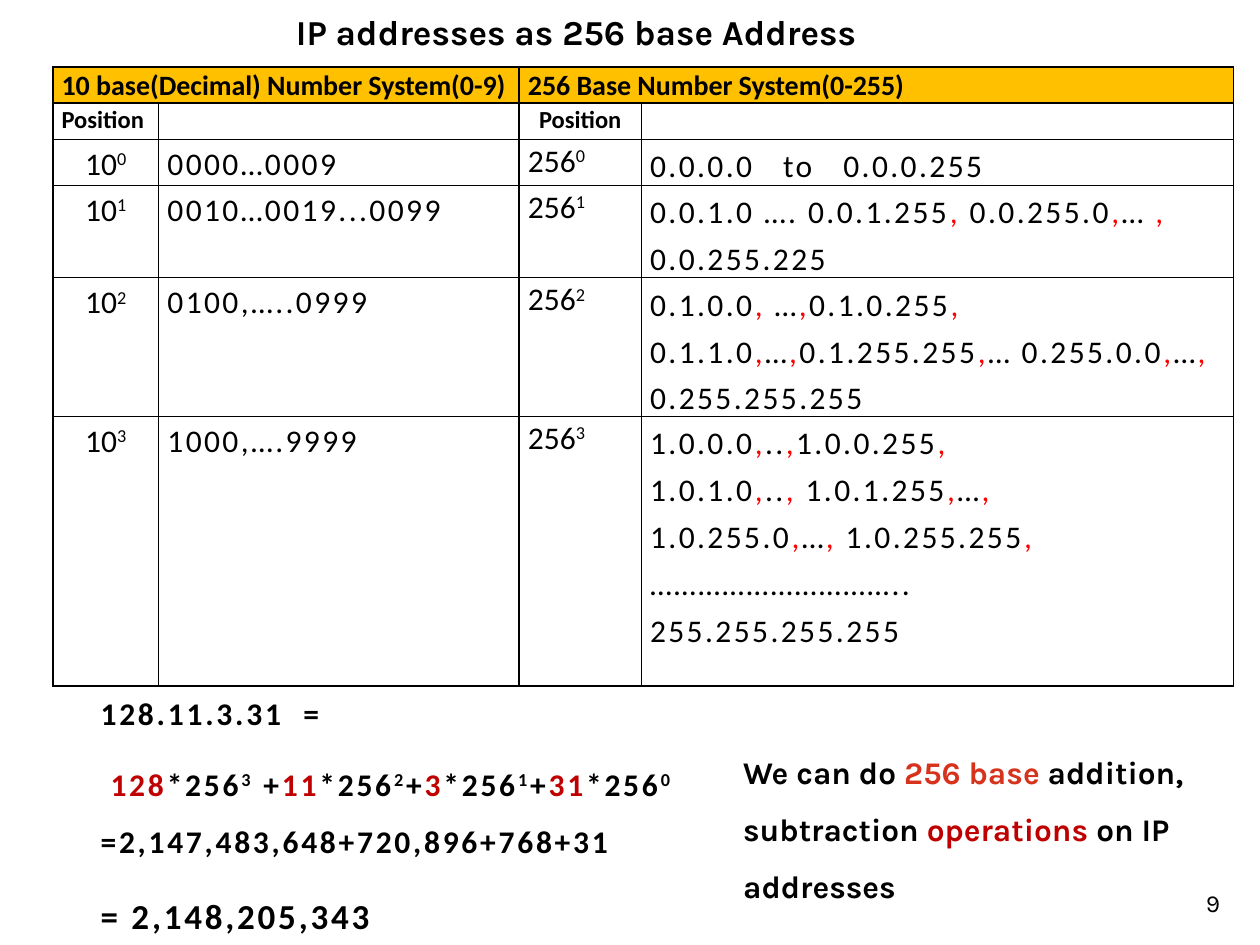
from lxml.etree import SubElement
from pptx import Presentation
from pptx.dml.color import RGBColor
from pptx.enum.text import MSO_ANCHOR, MSO_AUTO_SIZE, PP_ALIGN
from pptx.oxml.ns import qn
from pptx.util import Pt

BLACK, RED, DARK_RED, ORANGE_RED, AMBER = "000000", "FF0000", "C00000", "D6321C", "FFC000"
COLUMN_WIDTHS = [60.5, 206, 69.8, 338.4]
ROW_HEIGHTS = [20.2, 20.9, 25.2, 51.8, 79.2, 154.1]
DECIMAL_RANGES = ["0000…0009", "0010…0019...0099", "0100,…..0999", "1000,….9999"]
ADDRESS_RANGES = [
    ["0.0.0.0   to   0.0.0.255"],
    ["0.0.1.0 …. 0.0.1.255, 0.0.255.0,… , 0.0.255.225"],
    ["0.1.0.0, …,0.1.0.255, 0.1.1.0,…,0.1.255.255,… 0.255.0.0,…, 0.255.255.255"],
    ["1.0.0.0,..,1.0.0.255,", "1.0.1.0,.., 1.0.1.255,…,", "1.0.255.0,…, 1.0.255.255,",
     "…………………………..", "255.255.255.255"],
]


def rgb(value):
    return RGBColor.from_string(value)


def colored(text, color=BLACK):
    return (text, color, False)


def power(base, exponent):
    return [colored(base), (str(exponent), BLACK, True)]


def red_commas(text):
    pieces = []
    for index, part in enumerate(text.split(",")):
        if index:
            pieces.append(colored(",", RED))
        if part:
            pieces.append(colored(part))
    return pieces


def write_line(paragraph, pieces, size, font="Calibri", bold=False, spacing=1.0,
               after=0, tracking=0, align=PP_ALIGN.LEFT):
    paragraph.alignment = align
    paragraph.line_spacing = spacing
    paragraph.space_after = Pt(after)
    paragraph.font.name = font
    paragraph.font.size = Pt(size)
    paragraph.font.bold = bold
    for text, color, raised in pieces:
        run = paragraph.add_run()
        run.text = text
        run.font.color.rgb = rgb(color)
        properties = run.font._element
        if tracking:
            properties.set("spc", str(round(tracking * 100)))
        if raised:
            properties.set("baseline", "30000")
    if not pieces:
        SubElement(paragraph._p, qn("a:endParaRPr"), sz=str(size * 100))


def write_lines(frame, lines, **style):
    for index, pieces in enumerate(lines):
        paragraph = frame.add_paragraph() if index else frame.paragraphs[0]
        write_line(paragraph, pieces, **style)


def add_text_frame(slide, left, top, width, height, wrap=True):
    frame = slide.shapes.add_textbox(Pt(left), Pt(top), Pt(width), Pt(height)).text_frame
    frame.word_wrap = wrap
    return frame


def add_borders(cell):
    properties = cell._tc.get_or_add_tcPr()
    for index, side in enumerate(("a:lnL", "a:lnR", "a:lnT", "a:lnB")):
        border = properties.makeelement(qn(side), {"w": str(Pt(1))})
        fill = SubElement(border, qn("a:solidFill"))
        SubElement(fill, qn("a:srgbClr"), val=BLACK)
        properties.insert(index, border)


def fill_cell(cell, lines, color=None, **style):
    cell.margin_left = cell.margin_right = Pt(5)
    cell.margin_top = cell.margin_bottom = 0
    if color:
        cell.fill.solid()
        cell.fill.fore_color.rgb = rgb(color)
    else:
        cell.fill.background()
    add_borders(cell)
    write_lines(cell.text_frame, lines, **style)


def add_number_systems(slide, left, top, width, height):
    table = slide.shapes.add_table(len(ROW_HEIGHTS), len(COLUMN_WIDTHS),
                                   Pt(left), Pt(top), Pt(width), Pt(height)).table
    table.first_row = table.horz_banding = False
    for column, column_width in zip(table.columns, COLUMN_WIDTHS):
        column.width = Pt(column_width)
    for row, row_height in zip(table.rows, ROW_HEIGHTS):
        row.height = Pt(row_height)

    systems = ["10 base(Decimal) Number System(0-9)", "256 Base Number System(0-255)"]
    for column, system in zip((0, 2), systems):
        table.cell(0, column).merge(table.cell(0, column + 1))
        fill_cell(table.cell(0, column), [[colored(system)]], AMBER,
                  size=16, bold=True, spacing=1.07)
        fill_cell(table.cell(0, column + 1), [[]], AMBER, size=16)
        fill_cell(table.cell(1, column), [[colored("Position")]], size=14, bold=True,
                  spacing=1.07, align=PP_ALIGN.CENTER if column else PP_ALIGN.LEFT)
        fill_cell(table.cell(1, column + 1), [[]], size=14)

    for exponent, (decimals, addresses) in enumerate(zip(DECIMAL_RANGES, ADDRESS_RANGES)):
        row = exponent + 2
        fill_cell(table.cell(row, 0), [power("10", exponent)], size=18,
                  spacing=1.15, align=PP_ALIGN.CENTER)
        fill_cell(table.cell(row, 1), [[colored(decimals)]], size=18,
                  spacing=1.15, tracking=1.4)
        fill_cell(table.cell(row, 2), [power("256", exponent)], size=18, spacing=1.07)
        fill_cell(table.cell(row, 3), [red_commas(line) for line in addresses],
                  size=18, spacing=1.22, tracking=1.4)


def add_title(slide, left, top, width, height):
    frame = add_text_frame(slide, left, top, width, height, wrap=False)
    frame.auto_size = MSO_AUTO_SIZE.SHAPE_TO_FIT_TEXT
    write_lines(frame, [[colored("IP addresses as 256 base Address")]],
                size=20, font="Karla", bold=True)


def add_conversion(slide, left, top, width, height):
    frame = add_text_frame(slide, left, top, width, height)
    expansion = [colored(" ")]
    for exponent, (sign, octet) in zip((3, 2, 1, 0),
                                       (("", "128"), (" +", "11"), ("+", "3"), ("+", "31"))):
        if sign:
            expansion.append(colored(sign))
        expansion += [colored(octet, DARK_RED), *power("*256", exponent)]
    expansion.append(colored(" =2,147,483,648+720,896+768+31"))
    style = dict(bold=True, spacing=1.5, after=8, tracking=1.6)
    write_lines(frame, [[colored("128.11.3.31  =")], expansion], size=18, **style)
    write_line(frame.add_paragraph(), [colored("= 2,148,205,343")], size=20, **style)


def add_remark(slide, left, top, width, height):
    frame = add_text_frame(slide, left, top, width, height)
    remark = [colored("We can do "), colored("256 base ", ORANGE_RED),
              colored("addition, subtraction "), colored("operations", DARK_RED),
              colored(" on IP addresses")]
    write_lines(frame, [remark], size=18, font="Karla", bold=True, spacing=1.5)


def add_page_number(slide, left, top, width, height):
    frame = add_text_frame(slide, left, top, width, height)
    frame.vertical_anchor = MSO_ANCHOR.BOTTOM
    write_lines(frame, [[colored("9")]], size=14, font="Karla", align=PP_ALIGN.RIGHT)


def main():
    presentation = Presentation()
    presentation.slide_width, presentation.slide_height = Pt(720), Pt(540)
    slide = presentation.slides.add_slide(presentation.slide_layouts[6])
    add_page_number(slide, 554.4, 491.8, 149.8, 36)
    add_number_systems(slide, 30.2, 38.2, sum(COLUMN_WIDTHS), sum(ROW_HEIGHTS))
    add_title(slide, 162, 2.2, 363.6, 31.7)
    add_conversion(slide, 50.4, 382.3, 511.9, 157.7)
    add_remark(slide, 417.6, 416.2, 288, 100.8)
    presentation.save("out.pptx")


if __name__ == "__main__":
    main()
